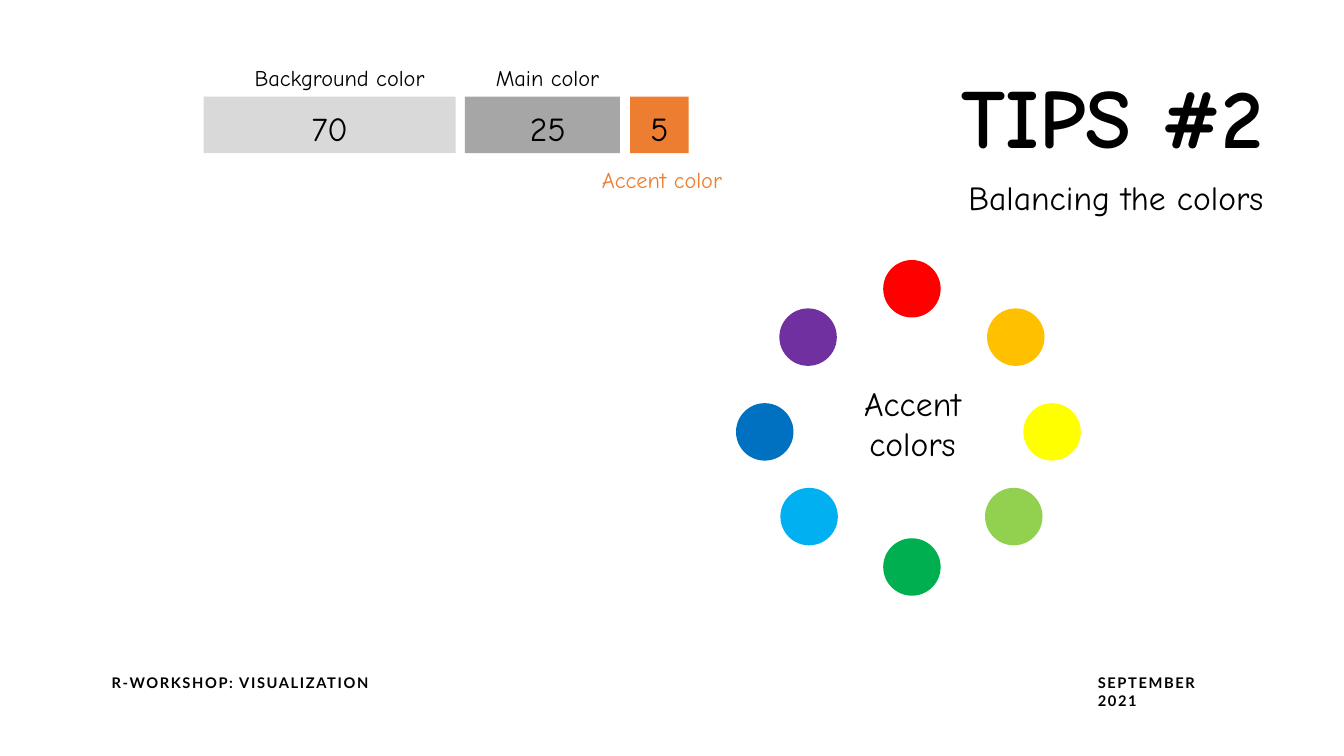
from pptx import Presentation
from pptx.dml.color import RGBColor
from pptx.enum.shapes import MSO_SHAPE
from pptx.enum.text import MSO_ANCHOR, MSO_AUTO_SIZE, PP_ALIGN
from pptx.util import Inches, Pt

BLACK = RGBColor(0x00, 0x00, 0x00)
LIGHT_GRAY = RGBColor(0xD9, 0xD9, 0xD9)
GRAY = RGBColor(0xA6, 0xA6, 0xA6)
ACCENT = RGBColor(0xED, 0x7D, 0x31)
RED = RGBColor(0xFF, 0x00, 0x00)
ORANGE = RGBColor(0xFF, 0xC0, 0x00)
YELLOW = RGBColor(0xFF, 0xFF, 0x00)
LIME = RGBColor(0x92, 0xD0, 0x50)
GREEN = RGBColor(0x00, 0xB0, 0x50)
SKY = RGBColor(0x00, 0xB0, 0xF0)
BLUE = RGBColor(0x00, 0x70, 0xC0)
PURPLE = RGBColor(0x70, 0x30, 0xA0)

DOT_SIZE = 0.57
BAR_TOP, BAR_HEIGHT = 0.96, 0.56

# Left and top of each dot, clockwise from the top
DOTS = [
    (8.76, 2.58, RED), (9.79, 3.06, ORANGE), (10.15, 4, YELLOW), (9.77, 4.84, LIME),
    (8.76, 5.34, GREEN), (7.74, 4.84, SKY), (7.3, 4, BLUE), (7.73, 3.06, PURPLE),
]

# Bar left, width and fill; share and its box; label, its box and its colour
BARS = [
    (2.02, 2.5, LIGHT_GRAY, "70", (2.98, 1.02, 0.57, 0.5),
     "Background color", (2.38, 0.59, 1.93, 0.37), BLACK),
    (4.61, 1.54, GRAY, "25", (5.13, 1.02, 0.58, 0.5),
     "Main color", (4.79, 0.59, 1.25, 0.37), BLACK),
    (6.25, 0.58, ACCENT, "5", (6.34, 1.02, 0.39, 0.5),
     "Accent color", (5.82, 1.6, 1.44, 0.37), ACCENT),
]


class SlideBuilder:
    font = "Comic Neue"
    footer_font = "Lato"

    def __init__(self, slide):
        self.slide = slide

    def set_text(self, sp, text, size, color=BLACK, align=PP_ALIGN.RIGHT,
                 bold=False, font=None, wrap=False):
        tf = sp.text_frame
        tf.word_wrap = wrap
        tf.auto_size = MSO_AUTO_SIZE.NONE
        tf.vertical_anchor = MSO_ANCHOR.TOP
        p = tf.paragraphs[0]
        p.text = text
        p.alignment = align
        p.space_before = Pt(0)
        p.font.name = font or self.font
        p.font.size = Pt(size)
        p.font.bold = bold
        p.font.color.rgb = color
        return p

    def placeholder(self, sp, box, text, size, **style):
        sp.left, sp.top, sp.width, sp.height = map(Inches, box)
        self.set_text(sp, text, size, **style)

    def text(self, box, text, size, **style):
        sp = self.slide.shapes.add_textbox(*map(Inches, box))
        return self.set_text(sp, text, size, **style)

    def footer(self, box, text):
        p = self.text(box, text, 10.5, align=PP_ALIGN.LEFT, bold=True,
                      font=self.footer_font, wrap=True)
        p.runs[0]._r.get_or_add_rPr().set("spc", "120")

    def shape(self, kind, box, color):
        sp = self.slide.shapes.add_shape(kind, *map(Inches, box))
        sp.shadow.inherit = False
        sp.fill.solid()
        sp.fill.fore_color.rgb = color
        sp.line.fill.background()


def main():
    prs = Presentation()
    prs.slide_width, prs.slide_height = Inches(13.33), Inches(7.5)
    s = prs.slides.add_slide(prs.slide_layouts[0])
    builder = SlideBuilder(s)

    builder.placeholder(s.shapes.title, (8.95, 0.59, 3.68, 1.11), "TIPS #2", 60, bold=True)
    builder.placeholder(s.placeholders[1], (9.38, 1.7, 3.25, 0.5), "Balancing the colors", 24)

    for left, top, color in DOTS:
        builder.shape(MSO_SHAPE.OVAL, (left, top, DOT_SIZE, DOT_SIZE), color)
    builder.text((8.44, 3.75, 1.22, 0.91), "Accent\ncolors", 24, align=PP_ALIGN.CENTER)

    for left, width, fill, share, share_box, label, label_box, label_color in BARS:
        builder.shape(MSO_SHAPE.RECTANGLE, (left, BAR_TOP, width, BAR_HEIGHT), fill)
        builder.text(share_box, share, 24)
        builder.text(label_box, label, 16, color=label_color)

    builder.footer((1.01, 6.64, 2.8, 0.28), "R-WORKSHOP: VISUALIZATION")
    builder.footer((10.79, 6.64, 1.53, 0.28), "SEPTEMBER 2021")
    prs.save("out.pptx")


if __name__ == "__main__":
    main()
